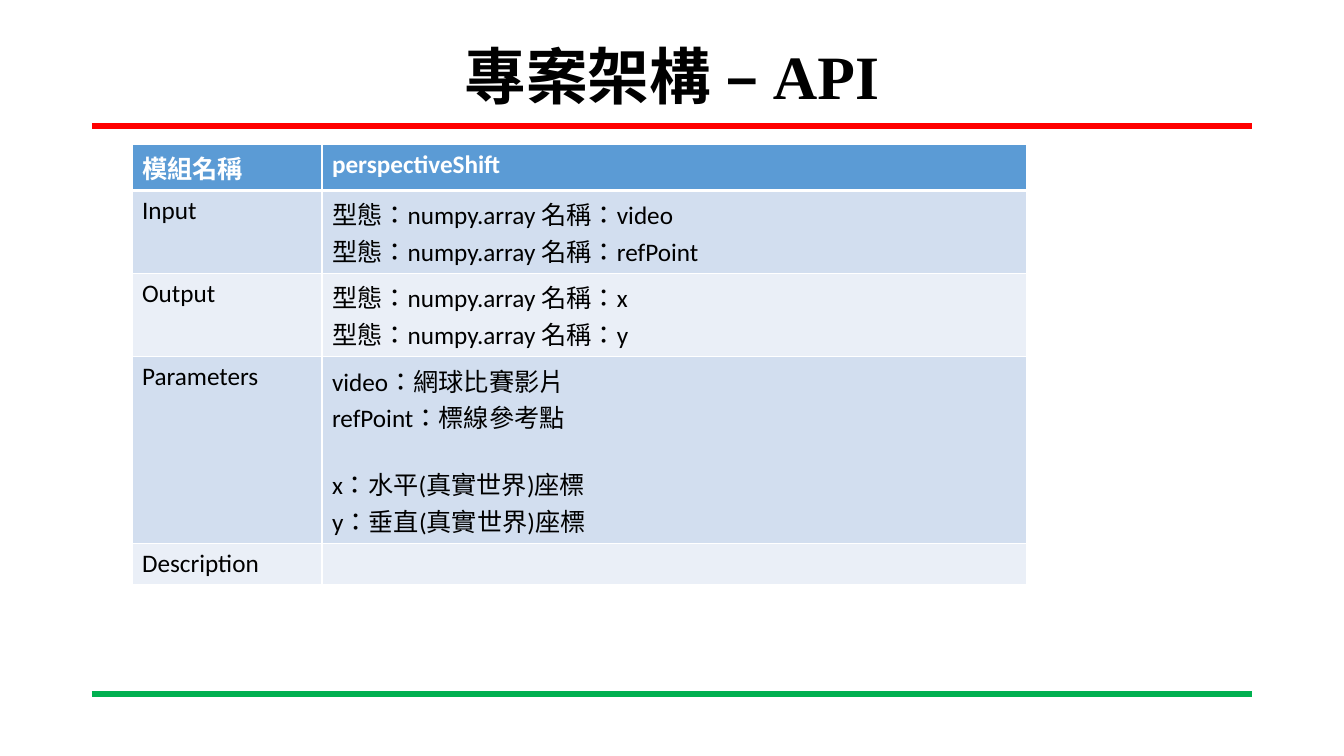
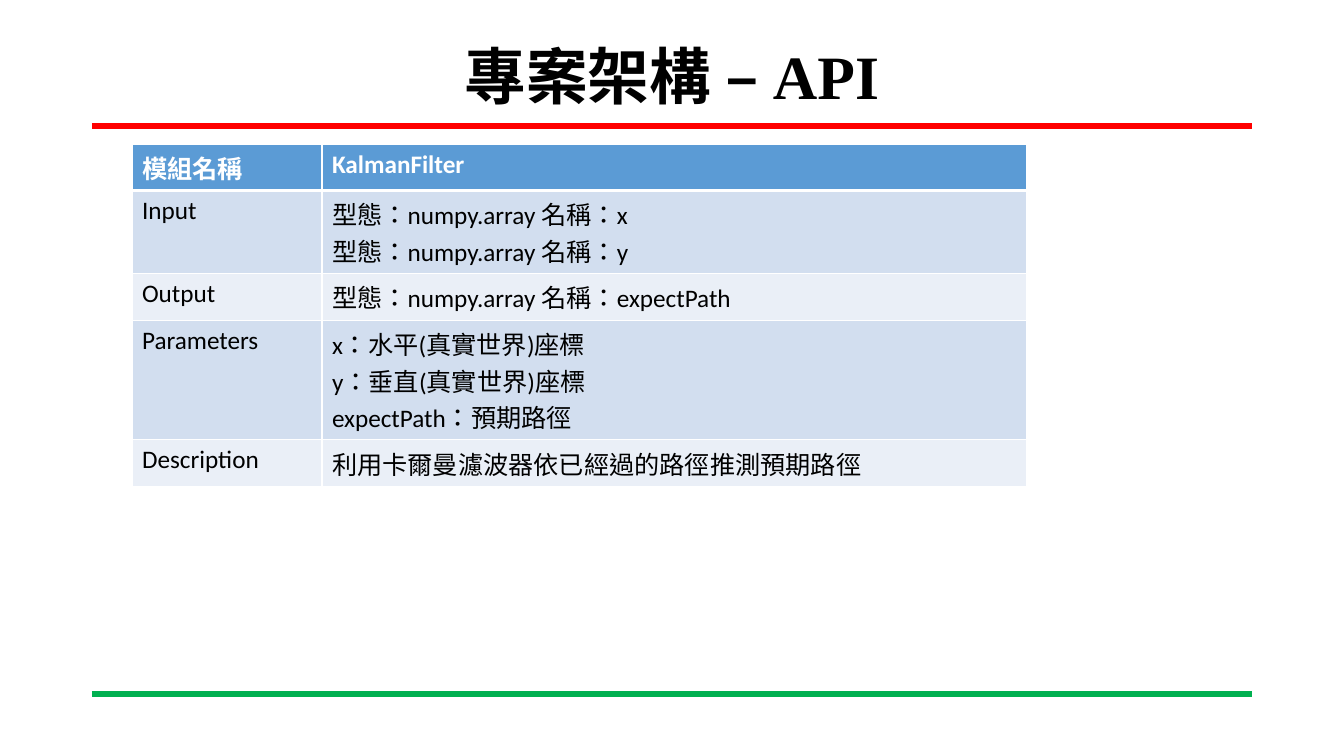
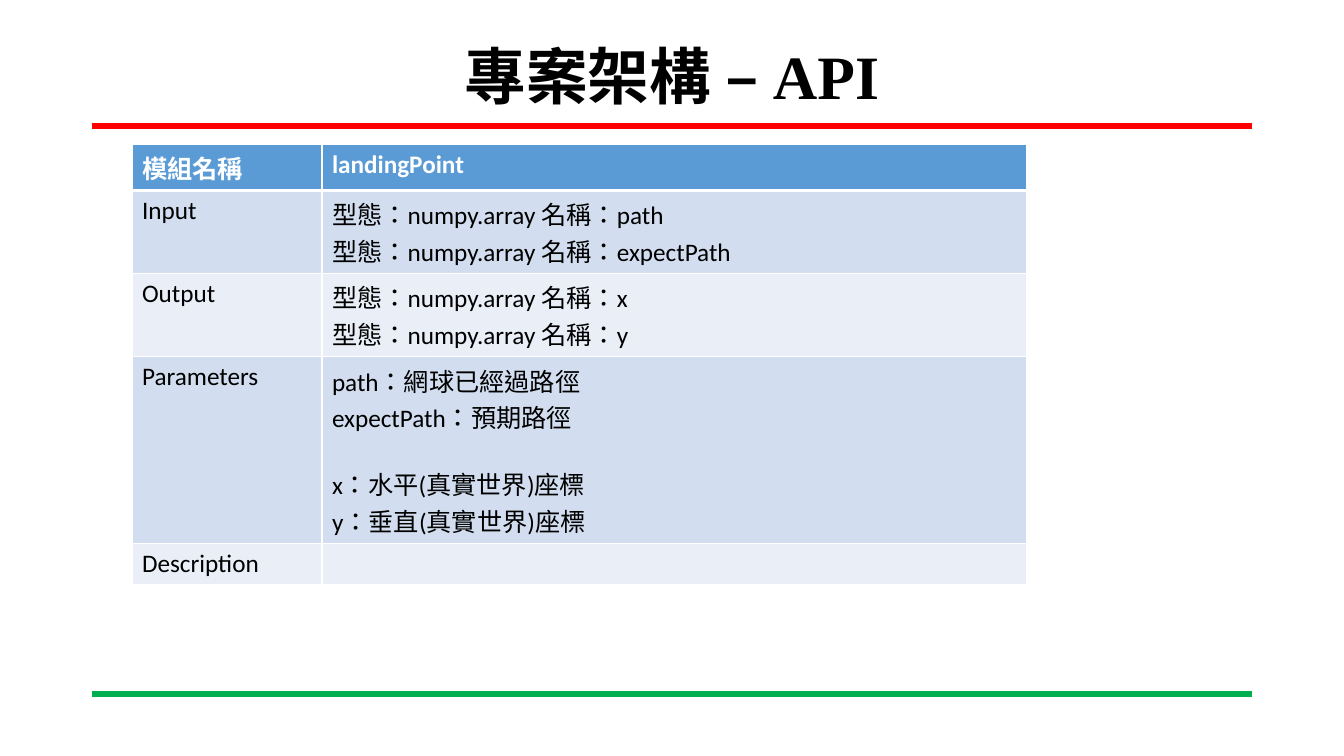
import pptx
import pptx.util
import pptx.oxml
import pptx.dml.color
import pptx.enum.lang
import pptx.enum.shapes
import pptx.enum.text

# Content: each cell is a list of groups, each group a list of lines
TITLE = "專案架構 – API"
COORDINATES = ["x：水平(真實世界)座標", "y：垂直(真實世界)座標"]


def arrays(*names):
    return [[f"型態：numpy.array 名稱：{name}" for name in names]]


MODULES = [
    {
        "模組名稱": [["perspectiveShift"]],
        "Input": arrays("video", "refPoint"),
        "Output": arrays("x", "y"),
        "Parameters": [["video：網球比賽影片", "refPoint：標線參考點"], COORDINATES],
        "Description": [],
    },
    {
        "模組名稱": [["KalmanFilter"]],
        "Input": arrays("x", "y"),
        "Output": arrays("expectPath"),
        "Parameters": [COORDINATES + ["expectPath：預期路徑"]],
        "Description": [["利用卡爾曼濾波器依已經過的路徑推測預期路徑"]],
    },
    {
        "模組名稱": [["landingPoint"]],
        "Input": arrays("path", "expectPath"),
        "Output": arrays("x", "y"),
        "Parameters": [["path：網球已經過路徑", "expectPath：預期路徑"], COORDINATES],
        "Description": [],
    },
]

# Shared style
COLORS = {
    "title": "000000", "text": "000000", "white": "FFFFFF",
    "top rule": "FF0000", "bottom rule": "00B050",
    "header": "5B9BD5", "odd row": "D2DEEF", "even row": "EAEFF7",
}
TITLE_FONT = {"name": "Times New Roman", "size": pptx.util.Pt(44), "bold": True}
CELL_FONT = {"name": "Calibri", "size": pptx.util.Pt(18)}
GROUP_GAP = pptx.util.Pt(22)

# Layout in pixels
PAGE_WIDTH, PAGE_HEIGHT = 1344, 756
MARGIN = 92
CONTENT_WIDTH = PAGE_WIDTH - 2 * MARGIN
TITLE_TOP, TITLE_HEIGHT = 40, 80
RULES = {"top rule": 126, "bottom rule": 694}
TABLE_LEFT, TABLE_TOP, ROW_HEIGHT = 132, 144, 41
COLUMN_WIDTHS = [190, 705]


def px(pixels):
    return pptx.util.Emu(round(pixels * 914400 / 100.8))


def rgb(name):
    return pptx.dml.color.RGBColor.from_string(COLORS[name])


def set_attributes(target, values):
    for name, value in values.items():
        setattr(target, name, value)


def write(para, text, font, color):
    span = para.add_run()
    span.text = text
    set_attributes(span.font, font)
    span.font.language_id = pptx.enum.lang.MSO_LANGUAGE_ID.TRADITIONAL_CHINESE
    span.font.color.rgb = rgb(color)


def add_layout_rules(page, layout):
    """Draw the two rules and hand them to the layout that all pages share."""
    for name, y in RULES.items():
        rule = page.shapes.add_connector(
            pptx.enum.shapes.MSO_CONNECTOR.STRAIGHT,
            px(MARGIN), px(y), px(PAGE_WIDTH - MARGIN), px(y))
        rule.line.color.rgb = rgb(name)
        rule.line.width = pptx.util.Pt(4.5)
        pptx.oxml.xmlchemy.OxmlElement  # keeps element classes registered
        rule.element.spPr.append(pptx.oxml.parse_xml(
            '<a:effectLst xmlns:a="http://schemas.openxmlformats.org/drawingml/2006/main"/>'))
        layout.shapes.element.append(rule.element)


def add_title(page):
    title = page.shapes.title
    set_attributes(title, {
        "left": px(MARGIN), "top": px(TITLE_TOP),
        "width": px(CONTENT_WIDTH), "height": px(TITLE_HEIGHT)})
    set_attributes(title.text_frame, {
        "word_wrap": True,
        "auto_size": pptx.enum.text.MSO_AUTO_SIZE.NONE,
        "vertical_anchor": pptx.enum.text.MSO_ANCHOR.MIDDLE})
    para = title.text_frame.paragraphs[0]
    set_attributes(para, {
        "alignment": pptx.enum.text.PP_ALIGN.CENTER, "line_spacing": 0.9})
    write(para, TITLE, TITLE_FONT, "title")


def set_borders(cell, row):
    widths = {"L": 1, "R": 1, "T": 3 if row == 1 else 1, "B": 3 if row == 0 else 1}
    properties = cell._tc.get_or_add_tcPr()
    for side, width in widths.items():
        properties.append(pptx.oxml.parse_xml(
            f'<a:ln{side} xmlns:a="http://schemas.openxmlformats.org/drawingml/2006/main"'
            f' w="{pptx.util.Pt(width)}"><a:solidFill><a:srgbClr val="{COLORS["white"]}"/>'
            f'</a:solidFill></a:ln{side}>'))


def fill_cell(cell, groups, row):
    set_borders(cell, row)
    cell.fill.solid()
    cell.fill.fore_color.rgb = rgb(
        "header" if row == 0 else "odd row" if row % 2 else "even row")
    frame = cell.text_frame
    lines = [(text, group > 0 and line == 0)
             for group, texts in enumerate(groups) for line, text in enumerate(texts)]
    for index, (text, starts_group) in enumerate(lines):
        para = frame.add_paragraph() if index else frame.paragraphs[0]
        if starts_group:
            para.space_before = GROUP_GAP
        write(para, text, {**CELL_FONT, "bold": row == 0}, "white" if row == 0 else "text")


def add_module_table(page, module):
    table = page.shapes.add_table(
        len(module), len(COLUMN_WIDTHS), px(TABLE_LEFT), px(TABLE_TOP),
        px(sum(COLUMN_WIDTHS)), px(ROW_HEIGHT * len(module))).table
    for column, width in zip(table.columns, COLUMN_WIDTHS):
        column.width = px(width)
    for row, (label, groups) in enumerate(module.items()):
        fill_cell(table.cell(row, 0), [[label]], row)
        fill_cell(table.cell(row, 1), groups, row)


# Build the deck
deck = pptx.Presentation()
deck.slide_width, deck.slide_height = px(PAGE_WIDTH), px(PAGE_HEIGHT)
title_only = deck.slide_layouts.get_by_name("Title Only")
for number, module in enumerate(MODULES):
    page = deck.slides.add_slide(title_only)
    if number == 0:
        add_layout_rules(page, title_only)
    add_title(page)
    add_module_table(page, module)
deck.save("out.pptx")
